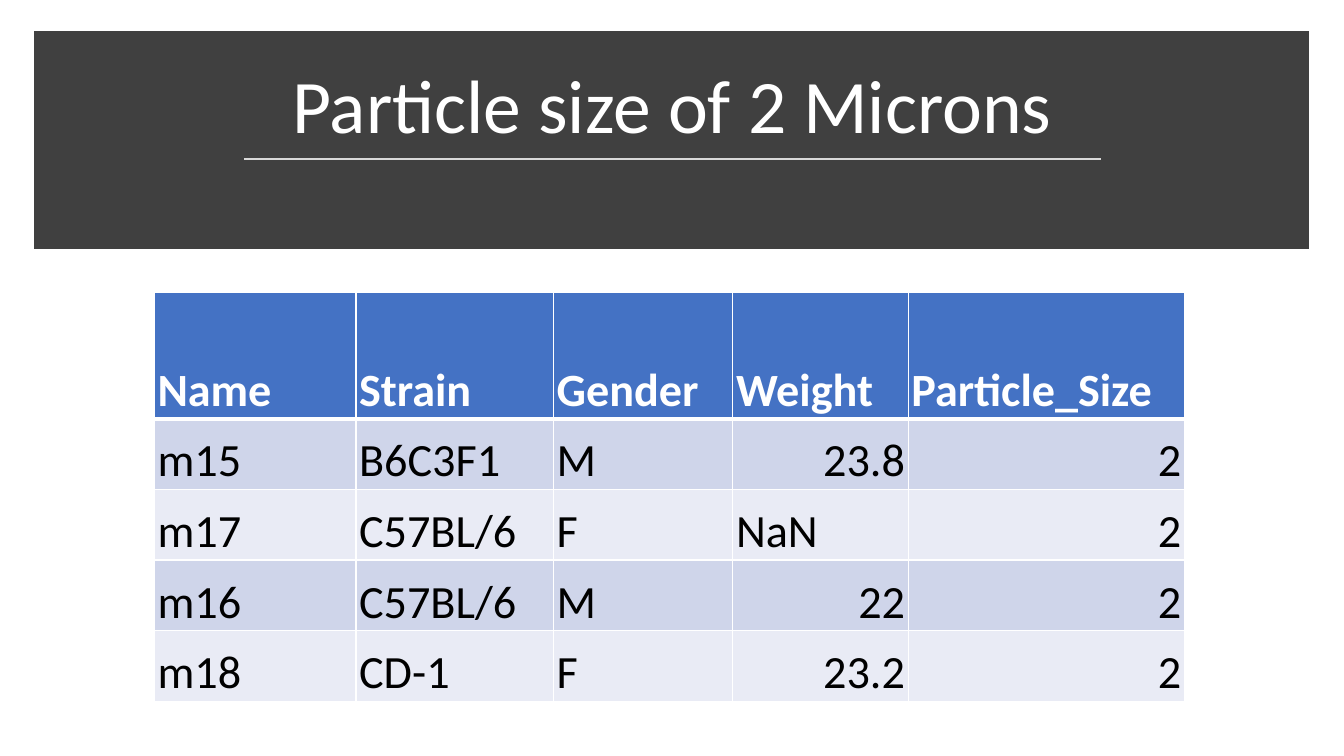
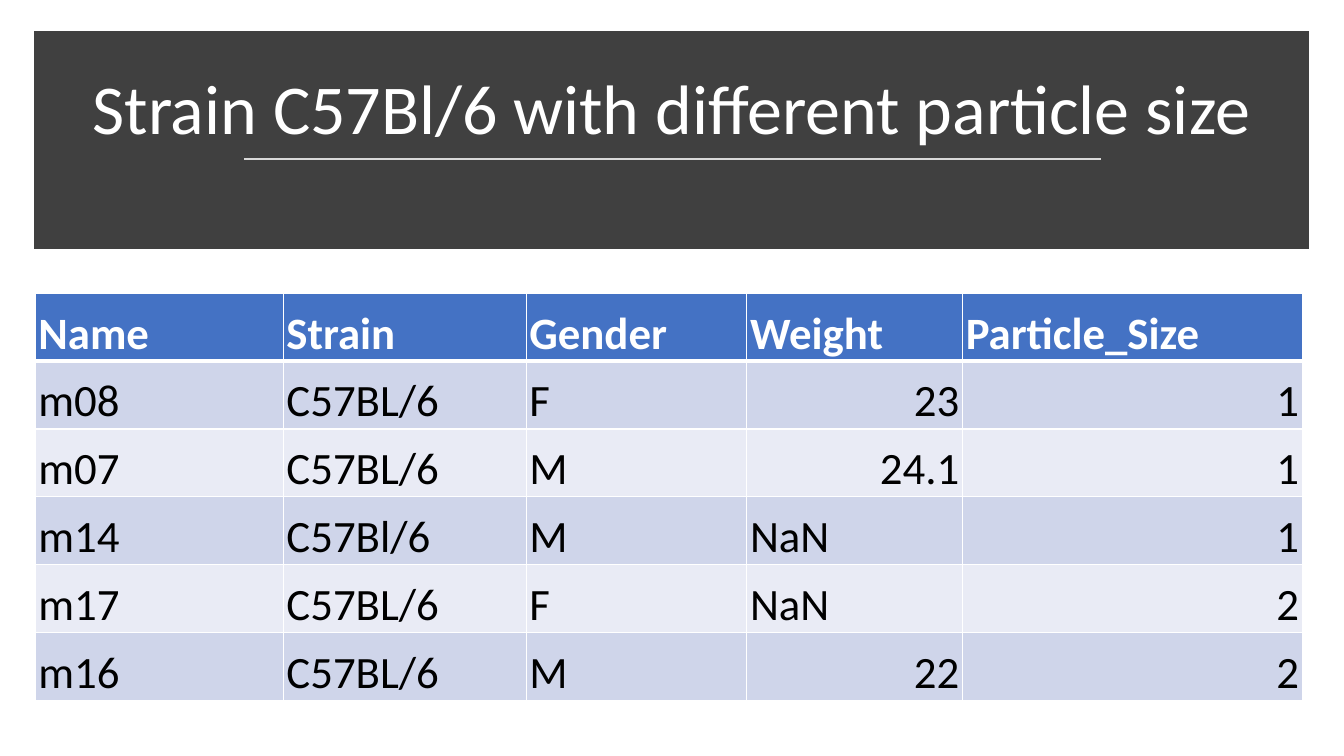
from dataclasses import dataclass

from lxml.etree import SubElement
from pptx import Presentation
from pptx.dml.color import RGBColor
from pptx.enum.shapes import MSO_CONNECTOR, MSO_SHAPE
from pptx.enum.text import MSO_ANCHOR, PP_ALIGN
from pptx.oxml.ns import qn
from pptx.slide import Slide
from pptx.table import _Cell
from pptx.text.text import _Paragraph
from pptx.util import Cm, Pt


@dataclass(frozen=True)
class Theme:
    font: str = "Calibri"
    band: str = "404040"
    rule: str = "D9D9D9"
    header: str = "4472C4"
    stripes: tuple[str, str] = ("CFD5EA", "E9EBF5")
    light: str = "FFFFFF"
    dark: str = "000000"
    band_line: float = 10
    rule_line: float = 1.75
    grid_line: float = 1
    header_line: float = 3


@dataclass(frozen=True)
class MouseTable:
    title: str
    title_size: int
    left: float
    top: float
    width: float
    header_height: float
    row_height: float
    text_size: int
    mice: tuple[tuple[str, ...], ...]


THEME = Theme()
HEADINGS = ("Name", "Strain", "Gender", "Weight", "Particle_Size")
COLUMN_SHARES = (2, 1.96, 1.78, 1.74, 2.74)
CELL_INSET = Cm(0.08)

MOUSE_TABLES = (
    MouseTable(
        "Particle size of 2 Microns", 54, 3.89, 7.37, 25.96, 3.18, 1.78, 33,
        (
            ("m15", "B6C3F1", "M", "23.8", "2"),
            ("m17", "C57BL/6", "F", "NaN", "2"),
            ("m16", "C57BL/6", "M", "22", "2"),
            ("m18", "CD-1", "F", "23.2", "2"),
        ),
    ),
    MouseTable(
        "Strain C57Bl/6 with different particle size", 50, 0.89, 7.39, 31.93, 1.71, 1.71, 32,
        (
            ("m08", "C57BL/6", "F", "23", "1"),
            ("m07", "C57BL/6", "M", "24.1", "1"),
            ("m14", "C57Bl/6", "M", "NaN", "1"),
            ("m17", "C57BL/6", "F", "NaN", "2"),
            ("m16", "C57BL/6", "M", "22", "2"),
        ),
    ),
)


def rgb(code: str) -> RGBColor:
    return RGBColor.from_string(code)


def add_text(paragraph: _Paragraph, text: str, size: int, color: str, bold: bool = False) -> None:
    run = paragraph.add_run()
    run.text = text
    run.font.name = THEME.font
    run.font.size = Pt(size)
    run.font.bold = bold
    run.font.color.rgb = rgb(color)


def add_band(slide: Slide) -> None:
    band = slide.shapes.add_shape(MSO_SHAPE.RECTANGLE, Cm(1.04), Cm(0.97), Cm(31.78), Cm(5.13))
    band.shadow.inherit = False
    band.fill.solid()
    band.fill.fore_color.rgb = rgb(THEME.band)
    band.line.color.rgb = rgb(THEME.band)
    band.line.width = Pt(THEME.band_line)
    SubElement(band.line._get_or_add_ln(), qn("a:miter"), lim="800000")


def add_title(slide: Slide, text: str, size: int) -> None:
    title = slide.shapes.add_textbox(Cm(1.47), Cm(1.3), Cm(30.94), Cm(2.59)).text_frame
    title.word_wrap = True
    title.vertical_anchor = MSO_ANCHOR.BOTTOM
    paragraph = title.paragraphs[0]
    paragraph.alignment = PP_ALIGN.CENTER
    paragraph.line_spacing = 0.9
    add_text(paragraph, text, size, THEME.light)


def add_rule(slide: Slide) -> None:
    rule = slide.shapes.add_connector(
        MSO_CONNECTOR.STRAIGHT, Cm(6.15), Cm(4.01), Cm(27.74), Cm(4.01)
    )
    rule.line.color.rgb = rgb(THEME.rule)
    rule.line.width = Pt(THEME.rule_line)
    SubElement(rule._element.spPr, qn("a:effectLst"))


def set_borders(cell: _Cell, top: float, bottom: float) -> None:
    properties = cell._tc.get_or_add_tcPr()
    sides = {"lnL": THEME.grid_line, "lnR": THEME.grid_line, "lnT": top, "lnB": bottom}
    for side, width in sides.items():
        border = SubElement(properties, qn(f"a:{side}"), w=str(Pt(width)))
        fill = SubElement(border, qn("a:solidFill"))
        SubElement(fill, qn("a:srgbClr"), val=THEME.light)


def fill_cell(cell: _Cell, text: str, row: int, size: int) -> None:
    is_header = row == 0
    set_borders(
        cell,
        THEME.header_line if row == 1 else THEME.grid_line,
        THEME.header_line if is_header else THEME.grid_line,
    )
    cell.fill.solid()
    cell.fill.fore_color.rgb = rgb(THEME.header if is_header else THEME.stripes[(row - 1) % 2])
    cell.vertical_anchor = MSO_ANCHOR.BOTTOM
    cell.margin_left = cell.margin_right = cell.margin_top = CELL_INSET
    cell.margin_bottom = 0
    paragraph = cell.text_frame.paragraphs[0]
    is_number = text.replace(".", "").isdigit()
    paragraph.alignment = PP_ALIGN.RIGHT if is_number else PP_ALIGN.LEFT
    add_text(paragraph, text, size, THEME.light if is_header else THEME.dark, is_header)


def add_mice(slide: Slide, content: MouseTable) -> None:
    rows = (HEADINGS, *content.mice)
    height = content.header_height + content.row_height * len(content.mice)
    table = slide.shapes.add_table(
        len(rows), len(HEADINGS),
        Cm(content.left), Cm(content.top), Cm(content.width), Cm(height),
    ).table
    table.horz_banding = False
    for column, share in zip(table.columns, COLUMN_SHARES):
        column.width = Cm(content.width * share / sum(COLUMN_SHARES))
    for row, texts in enumerate(rows):
        table.rows[row].height = Cm(content.row_height if row else content.header_height)
        for column, text in enumerate(texts):
            fill_cell(table.cell(row, column), text, row, content.text_size)


def main() -> None:
    deck = Presentation()
    deck.slide_width, deck.slide_height = Cm(33.87), Cm(19.05)
    for content in MOUSE_TABLES:
        slide = deck.slides.add_slide(deck.slide_layouts[6])
        add_band(slide)
        add_title(slide, content.title, content.title_size)
        add_rule(slide)
        add_mice(slide, content)
    deck.save("out.pptx")


if __name__ == "__main__":
    main()
